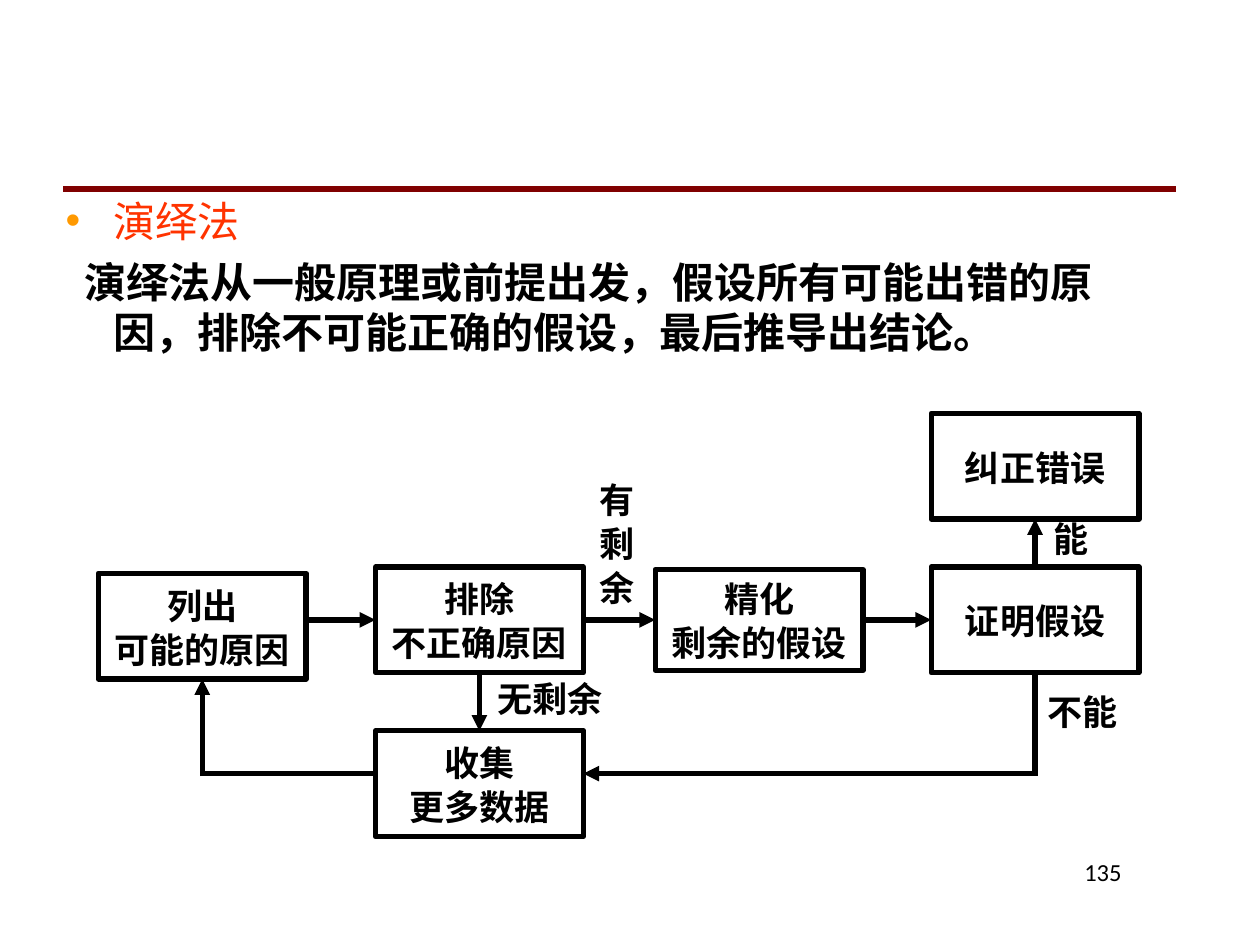
from dataclasses import dataclass

import pptx
import pptx.dml.color
import pptx.enum.shapes
import pptx.enum.text
import pptx.oxml.ns
import pptx.util
from lxml import etree
from pptx.util import Inches

ALIGN = pptx.enum.text.PP_ALIGN
ANCHOR = pptx.enum.text.MSO_ANCHOR


@dataclass(frozen=True)
class Theme:
    """Colours, fonts and type sizes of the slide."""
    ink: str = "000000"
    heading: str = "FF3300"
    bullet: str = "FF9900"
    rule: str = "800000"
    body_font: str = "Noto Sans CJK SC"
    flow_font: str = "Times New Roman"
    number_font: str = "Calibri"
    body_size: int = 24
    flow_size: int = 20
    number_size: int = 14
    stroke: int = 3


THEME = Theme()


def rgb(value):
    """Turn a hex string into a colour."""
    return pptx.dml.color.RGBColor.from_string(value)


def add_xml(parent, tag, **attributes):
    """Append a DrawingML element to a parent."""
    return etree.SubElement(parent, pptx.oxml.ns.qn(tag), attributes)


def style(para, font, size, color, bold=False):
    """Format every run of a paragraph."""
    for span in para.runs:
        span.font.name = font
        span.font.size = pptx.util.Pt(size)
        span.font.color.rgb = rgb(color)
        span.font.bold = bold
        add_xml(span.font._element, "a:ea", typeface=THEME.body_font)


def add_line(page, start, end, color=THEME.ink, arrow=False, source=None, target=None):
    """Draw a straight line, joined to (shape, side) pairs where given."""
    line = page.shapes.add_connector(
        pptx.enum.shapes.MSO_CONNECTOR.STRAIGHT,
        *(Inches(value) for value in (*start, *end)))
    if source:
        line.begin_connect(*source)
    if target:
        line.end_connect(*target)
    line.line.color.rgb = rgb(color)
    line.line.width = pptx.util.Pt(THEME.stroke)
    if arrow:
        add_xml(line.line._get_or_add_ln(), "a:tailEnd", type="triangle")
    add_xml(line._element.spPr, "a:effectLst")


def write_flow_text(shape, text):
    """Set centred bold flowchart text in a shape."""
    frame = shape.text_frame
    frame.text = text
    frame.word_wrap = False
    frame.margin_left = frame.margin_right = 0
    frame.vertical_anchor = ANCHOR.MIDDLE
    for para in frame.paragraphs:
        para.alignment = ALIGN.CENTER
        para.line_spacing = 1.05
        style(para, THEME.flow_font, THEME.flow_size, THEME.ink, True)


def add_body(page, box):
    """Fill the body placeholder with the heading and the explanation."""
    body = page.placeholders[1]
    body.left, body.top, body.width, body.height = (Inches(value) for value in box)
    frame = body.text_frame
    frame.margin_right = Inches(0.4)
    frame.text = ("演绎法\n演绎法从一般原理或前提出发，假设所有可能出错的原因，"
                  "排除不可能正确的假设，最后推导出结论。")
    heading, explanation = frame.paragraphs
    for para, indent, before in ((heading, -0.38, 0), (explanation, -0.23, 6)):
        para.space_before = pptx.util.Pt(before)
        properties = para._p.get_or_add_pPr()
        properties.set("marL", str(Inches(0.38)))
        properties.set("indent", str(Inches(indent)))
    properties = heading._p.pPr
    add_xml(add_xml(properties, "a:buClr"), "a:srgbClr", val=THEME.bullet)
    add_xml(properties, "a:buChar", char="•")
    add_xml(explanation._p.pPr, "a:buNone")
    style(heading, THEME.body_font, THEME.body_size, THEME.heading)
    style(explanation, THEME.body_font, THEME.body_size, THEME.ink, True)


def add_flow(page, box):
    """Draw the deduction flowchart inside the box."""
    left, top = box[:2]
    step_width = 1.65
    list_x, exclude_x, refine_x, prove_x = 0, 2.2, 4.42, 6.61

    def at(x, y):
        return left + x, top + y

    def add_step(text, x, y, height=0.84):
        step = page.shapes.add_shape(
            pptx.enum.shapes.MSO_SHAPE.RECTANGLE,
            *(Inches(value) for value in (*at(x, y), step_width, height)))
        step.shadow.inherit = False
        step.fill.background()
        step.line.color.rgb = rgb(THEME.ink)
        step.line.width = pptx.util.Pt(THEME.stroke)
        write_flow_text(step, text)
        return step

    listing = add_step("列出\n可能的原因", list_x, 1.27)
    exclude = add_step("排除\n不正确原因", exclude_x, 1.22)
    refine = add_step("精化\n剩余的假设", refine_x, 1.24, 0.8)
    prove = add_step("证明假设", prove_x, 1.22)
    collect = add_step("收集\n更多数据", exclude_x, 2.52)
    correct = add_step("纠正错误", prove_x, 0)

    row, return_row = 1.64, 2.86
    mid_left, mid_right = list_x + step_width / 2, prove_x + step_width / 2
    add_line(page, at(step_width, row), at(exclude_x, row), arrow=True, target=(exclude, 1))
    for source, source_side, target, target_side in (
            (exclude, 3, refine, 1), (refine, 3, prove, 1),
            (exclude, 2, collect, 0), (prove, 0, correct, 2)):
        add_line(page, at(0, 0), at(0, 0), arrow=True,
                 source=(source, source_side), target=(target, target_side))
    corner = return_row + 0.02
    add_line(page, at(mid_right, 2.06), at(mid_right, corner), source=(prove, 2))
    add_line(page, at(mid_right, return_row), at(exclude_x + step_width, return_row), arrow=True)
    add_line(page, at(exclude_x, return_row), at(mid_left, return_row))
    add_line(page, at(mid_left, corner), at(mid_left, 2.11), arrow=True, target=(listing, 2))

    for text, x, y, width, height in (
            ("无剩余", 3.07, 2.03, 1.03, 0.45), ("能", 7.48, 0.76, 0.48, 0.45),
            ("有\n剩\n余", 3.88, 0.45, 0.48, 1.15), ("不能", 7.44, 2.13, 0.75, 0.45)):
        label = page.shapes.add_textbox(
            *(Inches(value) for value in (*at(x, y), width, height)))
        write_flow_text(label, text)


def add_page_number(page, box):
    """Write the page number at the right of the box."""
    number = page.shapes.add_textbox(*(Inches(value) for value in box))
    number.text_frame.text = "135"
    number.text_frame.word_wrap = True
    para = number.text_frame.paragraphs[0]
    para.alignment = ALIGN.RIGHT
    style(para, THEME.number_font, THEME.number_size, THEME.ink)


def main():
    """Build the slide and save it."""
    deck = pptx.Presentation()
    deck.slide_width, deck.slide_height = Inches(10), Inches(7.5)
    page = deck.slides.add_slide(deck.slide_layouts[1])
    title = page.shapes.title._element
    title.getparent().remove(title)
    add_line(page, (0.5, 1.5), (9.33, 1.5), THEME.rule)
    add_page_number(page, (7.58, 6.75, 1.42, 0.5))
    add_body(page, (0.42, 1.5, 8.89, 1.9))
    add_flow(page, (0.78, 3.28, 8.28, 3.36))
    deck.save("out.pptx")


if __name__ == "__main__":
    main()
